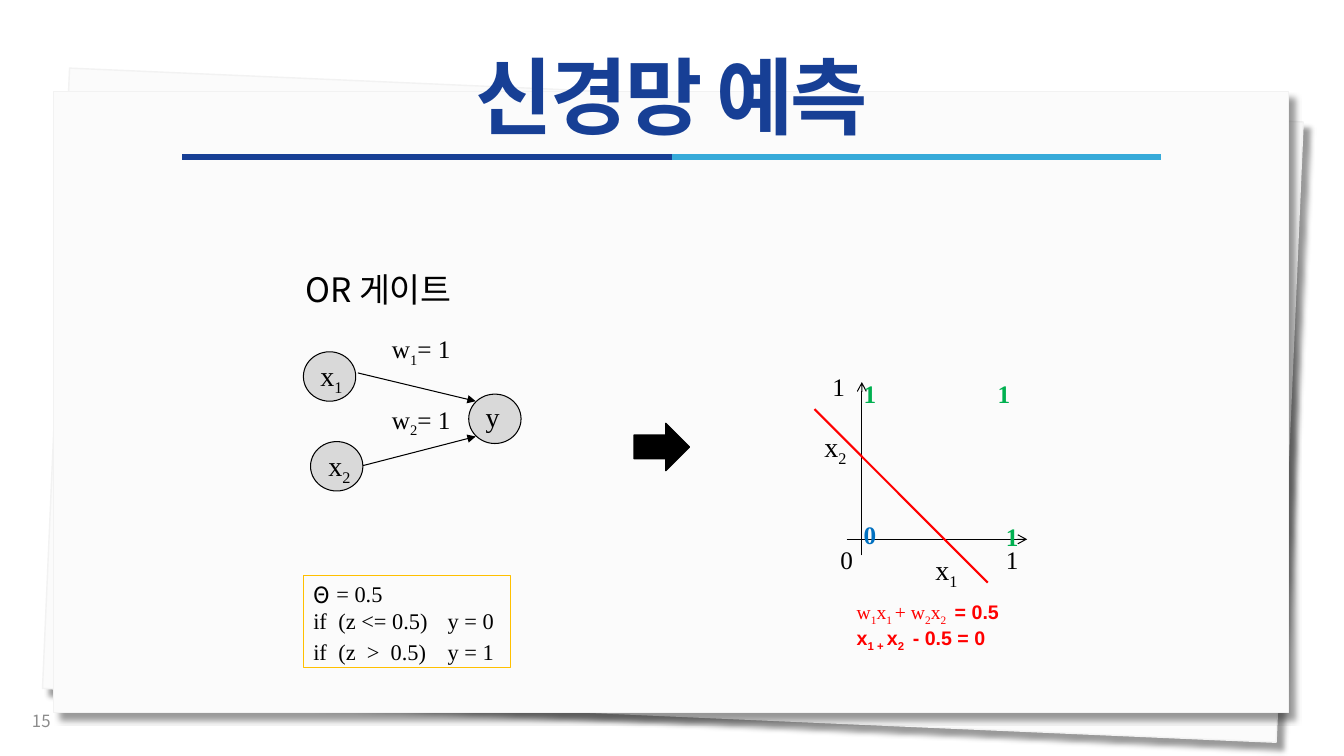
from lxml import etree
from pptx import Presentation
from pptx.dml.color import RGBColor
from pptx.enum.shapes import MSO_CONNECTOR as Connector, MSO_SHAPE as Shape
from pptx.enum.text import MSO_ANCHOR as Anchor, PP_ALIGN as Align
from pptx.oxml.ns import qn
from pptx.util import Pt

# Content: in marked text, every second piece between bars is a subscript
TITLE = "신경망 예측"
PAGE_NUMBER = "15"
HEADING = "OR 게이트"
RULES = ["= 0.5", "if\t(z <= 0.5)\ty = 0", "if\t(z  >  0.5)\ty = 1"]
FORMULA = [
    [("w|1|x|1 |+ w|2|x|2 ", "formula"), (" = 0.5", "formula_bold")],
    [("x|1 + |x|2 | - 0.5 = 0", "formula_bold")],
]
NEURONS = [(216.7, 251.3), (334.8, 281.5), (221.8, 315.4)]
NETWORK_LABELS = [
    ("x|1", "node", 221.8, 252.7), ("x|2", "node", 227.5, 316.8),
    ("y", "node", 339.8, 281.5),
    ("w|1|= 1", "label", 272.9, 234.7), ("w|2|= 1", "label", 272.9, 285.1),
]
PLOT_LABELS = [
    ("x|1", "node", 661, 391), ("x|2", "node", 581.8, 303.1),
    ("1", "label", 587.5, 261.4), ("0", "label", 593.3, 385.2),
    ("1", "label", 711.4, 385.2),
    ("0", "zero", 609.8, 367.2), ("1", "one", 711.4, 368.6),
    ("1", "one", 705.6, 266.4), ("1", "one", 609.8, 266.4),
]
# from x, from y, to x, to y, colour, width, arrowhead
LINES = [
    (130.3, 112.3, 480, 112.3, "navy", 4.5, None),
    (480, 112.3, 829.4, 112.3, "sky", 4.5, None),
    (255.6, 266.4, 339.8, 286.6, "ink", 0.75, "triangle"),
    (259.2, 332.6, 339.8, 311.8, "ink", 0.75, "triangle"),
    (604.8, 385.2, 733.7, 385.2, "ink", 0.75, "arrow"),
    (615.6, 396.7, 615.6, 272.9, "ink", 0.75, "arrow"),
    (581.8, 292.3, 705.6, 416.2, "red", 1.5, None),
]

# Theme
SERIF, SANS, KOREAN = "Times New Roman", "Arial", "Noto Sans CJK KR"
THEME = {
    "colours": {
        "navy": "173F95", "sky": "36AAD9", "ink": "000000", "red": "FF0000",
        "blue": "0070C0", "green": "00B050", "gold": "FFC000",
        "grey": "8C8C8C", "node": "D9D9D9", "paper": "FBFBFB", "edge": "F2F2F2",
    },
    # font, size, colour, bold
    "type": {
        "title": (KOREAN, 60, "navy", True),
        "number": (KOREAN, 12, "grey", False),
        "heading": (KOREAN, 24, "ink", False),
        "node": (SERIF, 20, "ink", False),
        "label": (SERIF, 18, "ink", False),
        "zero": (SERIF, 18, "blue", True),
        "one": (SERIF, 18, "green", True),
        "rule": (SERIF, 16, "ink", False),
        "formula": (SERIF, 14, "red", False),
        "formula_bold": (SANS, 14, "red", True),
    },
}

deck = Presentation()
deck.slide_width, deck.slide_height = Pt(960), Pt(540)
page = deck.slides.add_slide(deck.slide_layouts[6])


def colour(name):
    return RGBColor.from_string(THEME["colours"][name])


def child(parent, tag, **attributes):
    return etree.SubElement(parent, qn(tag), attributes)


def set_font(font, style):
    font.name, size, ink, font.bold = THEME["type"][style]
    font.size = Pt(size)
    font.color.rgb = colour(ink)
    if font.name == KOREAN:
        child(font._element, "a:ea", typeface=KOREAN)


def write(para, marked):
    spans = []
    for index, piece in enumerate(marked.split("|")):
        span = para.add_run()
        span.text = piece
        if index % 2:
            span.font._element.set("baseline", "-25000")
        spans.append(span)
    return spans


def add_text(marked, style, left, top, width, height, anchor=Anchor.TOP):
    box = page.shapes.add_textbox(Pt(left), Pt(top), Pt(width), Pt(height))
    frame = box.text_frame
    frame.word_wrap, frame.vertical_anchor = True, anchor
    para = frame.paragraphs[0]
    write(para, marked)
    set_font(para.font, style)
    return para


def add_block(kind, left, top, width, height, fill, line, line_width=0.75):
    block = page.shapes.add_shape(kind, Pt(left), Pt(top), Pt(width), Pt(height))
    block.shadow.inherit = False
    if fill:
        block.fill.solid()
        block.fill.fore_color.rgb = colour(fill)
    else:
        block.fill.background()
    block.line.color.rgb = colour(line)
    block.line.width = Pt(line_width)
    return block


# Stacked paper sheets with shadows
for left, top, angle in [(39.6, 67.7, 2.5), (38.2, 65.5, 0)]:
    sheet = add_block(Shape.RECTANGLE, left, top, 882, 443.5, "paper", "edge", 1)
    sheet.rotation = angle
    effects = sheet._element.spPr.find(qn("a:effectLst"))
    shadow = child(effects, "a:outerShdw", blurRad=str(Pt(4)), dist=str(Pt(7)),
                   dir="2700000", algn="tl", rotWithShape="0")
    black = child(shadow, "a:srgbClr", val="000000")
    child(black, "a:alpha", val="40000")

# Title, page number and heading
title = add_text(TITLE, "title", 0, 40.3, 960, 64.8, Anchor.MIDDLE)
title.alignment, title.line_spacing = Align.CENTER, 0.9
title.runs[0].font._element.set("spc", "-190")
add_text(PAGE_NUMBER, "number", 15.8, 500.4, 216, 28.8, Anchor.MIDDLE)
add_text(HEADING, "heading", 211, 188.6, 213.8, 36)

# Neurons and the arrow to the plot
for left, top in NEURONS:
    add_block(Shape.OVAL, left, top, 37.4, 35.3, "node", "ink")
add_block(Shape.RIGHT_ARROW, 452.9, 302.4, 39.6, 33.8, "ink", "ink", 1)

# Title rule, network links, plot axes and decision boundary
for x1, y1, x2, y2, ink, width, head in LINES:
    line = page.shapes.add_connector(Connector.STRAIGHT, Pt(x1), Pt(y1), Pt(x2), Pt(y2))
    line.line.color.rgb = colour(ink)
    line.line.width = Pt(width)
    if head:
        child(line.line._get_or_add_ln(), "a:tailEnd", type=head)
    child(line._element.spPr, "a:effectLst")

# Network and plot labels
for marked, style, left, top in NETWORK_LABELS + PLOT_LABELS:
    width = 67.7 if marked.startswith("w") else 33.8
    add_text(marked, style, left, top, width, 30)

# Boundary formula
box = page.shapes.add_textbox(Pt(604.8), Pt(424.8), Pt(140.4), Pt(52.6))
box.text_frame.word_wrap = True
for index, parts in enumerate(FORMULA):
    para = box.text_frame.add_paragraph() if index else box.text_frame.paragraphs[0]
    for marked, style in parts:
        for span in write(para, marked):
            set_font(span.font, style)

# Threshold rules
rule_box = add_block(Shape.RECTANGLE, 216.7, 411.1, 148.3, 65.5, None, "gold")
frame = rule_box.text_frame
frame.word_wrap, frame.vertical_anchor = False, Anchor.TOP
for index, rule in enumerate(RULES):
    para = frame.add_paragraph() if index else frame.paragraphs[0]
    para.alignment = Align.LEFT
    para.space_before = Pt(3 if index == 2 else 0)
    write(para, rule)
    props = para._element.get_or_add_pPr()
    if index:
        stops = child(props, "a:tabLst")
        for stop in (18, 96):
            child(stops, "a:tab", pos=str(Pt(stop)), algn="l")
    else:
        props.set("marL", str(Pt(16.5)))
        props.set("indent", str(Pt(-16.5)))
        child(props, "a:buFont", typeface=KOREAN)
        child(props, "a:buChar", char="Θ")
    set_font(para.font, "rule")

deck.save("out.pptx")
